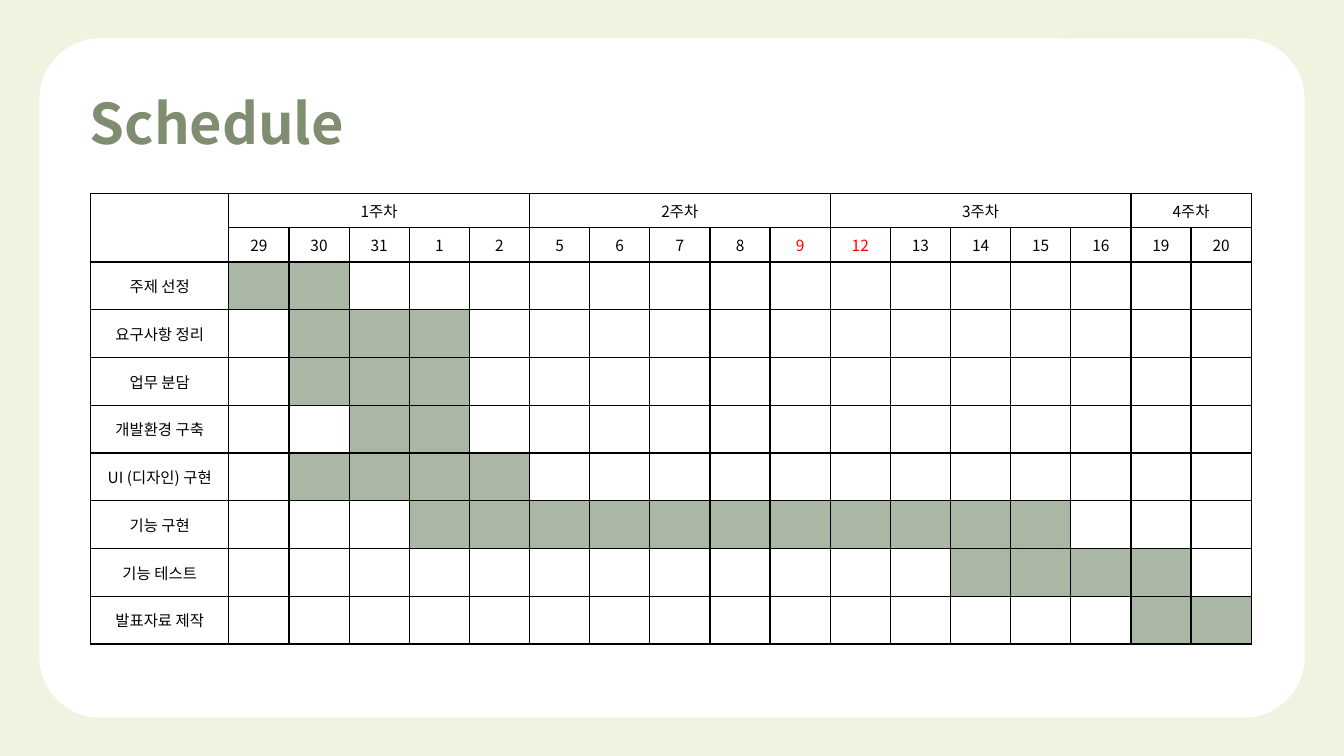
from pptx import Presentation
from pptx.dml.color import RGBColor
from pptx.enum.shapes import MSO_SHAPE as Shape
from pptx.enum.text import MSO_ANCHOR as Anchor, MSO_AUTO_SIZE as AutoSize, PP_ALIGN as Align
from pptx.oxml import parse_xml
from pptx.oxml.ns import nsdecls
from pptx.util import Inches, Pt

# Content
TITLE = "Schedule"
WEEKS = [
    ("1주차", ["29", "30", "31", "1", "2"]),
    ("2주차", ["5", "6", "7", "8", "9"]),
    ("3주차", ["12", "13", "14", "15", "16"]),
    ("4주차", ["19", "20"]),
]
HOLIDAYS = {"9", "12"}
TASKS = [  # name, first day, last day
    ("주제 선정", "29", "30"),
    ("요구사항 정리", "30", "1"),
    ("업무 분담", "30", "1"),
    ("개발환경 구축", "31", "1"),
    ("UI (디자인) 구현", "30", "2"),
    ("기능 구현", "1", "15"),
    ("기능 테스트", "14", "19"),
    ("발표자료 제작", "19", "20"),
]
DAYS = [day for _, days in WEEKS for day in days]

# Format
FONT = "Noto Sans CJK KR"
BACKGROUND, WHITE, BLACK, RED = "F1F3E1", "FFFFFF", "000000", "FF0000"
TITLE_GREEN, BAR_GREEN = "7F8D70", "ABB7A5"
TITLE_FORMAT = {"size": Pt(40), "bold": True, "name": FONT}
CELL_FORMAT = {"size": Pt(11), "bold": False, "name": FONT}

# Table measures in inches
LEFT, TOP, WIDTH, HEIGHT = 0.9, 1.92, 11.51, 4.47
NAME_WIDTH, HEADER_HEIGHT = 1.37, 0.34
DAY_WIDTH = (WIDTH - NAME_WIDTH) / len(DAYS)
TASK_HEIGHT = (HEIGHT - 2 * HEADER_HEIGHT) / len(TASKS)


def paint(fill, color):
    fill.solid()
    fill.fore_color.rgb = RGBColor.from_string(color)


def write(paragraph, text, formats, color):
    run = paragraph.add_run()
    run.text = text
    for name, value in formats.items():
        setattr(run.font, name, value)
    paint(run.font.fill, color)
    run.font._element.append(parse_xml(f'<a:ea {nsdecls("a")} typeface="{FONT}"/>'))
    # Schema order: the East Asian font follows the Latin one
    run.font._element.find("{*}latin").addnext(run.font._element.find("{*}ea"))


def write_cell(cell, text, color=BLACK):
    paragraph = cell.text_frame.paragraphs[0]
    paragraph.alignment = Align.CENTER
    write(paragraph, text, CELL_FORMAT, color)


def add_borders(cell):
    properties = cell._tc.get_or_add_tcPr()
    for index, side in enumerate(("lnL", "lnR", "lnT", "lnB")):
        properties.insert(index, parse_xml(
            f'<a:{side} {nsdecls("a")} w="12700"><a:solidFill>'
            f'<a:srgbClr val="{BLACK}"/></a:solidFill></a:{side}>'))


def add_panel(slide):
    panel = slide.shapes.add_shape(
        Shape.ROUNDED_RECTANGLE, Inches(0.39), Inches(0.38), Inches(12.55), Inches(6.74))
    panel.adjustments[0] = 0.09
    panel.shadow.inherit = False
    paint(panel.fill, WHITE)
    panel.line.fill.background()


def add_title(slide):
    box = slide.shapes.add_textbox(Inches(0.79), Inches(0.83), Inches(5.48), Inches(0.77))
    frame = box.text_frame
    frame.word_wrap = True
    frame.auto_size = AutoSize.SHAPE_TO_FIT_TEXT
    write(frame.paragraphs[0], TITLE, TITLE_FORMAT, TITLE_GREEN)


def add_schedule(slide):
    table = slide.shapes.add_table(
        2 + len(TASKS), 1 + len(DAYS),
        Inches(LEFT), Inches(TOP), Inches(WIDTH), Inches(HEIGHT)).table
    table.first_row = table.horz_banding = False
    for index, column in enumerate(table.columns):
        column.width = Inches(DAY_WIDTH if index else NAME_WIDTH)
    for index, row in enumerate(table.rows):
        row.height = Inches(HEADER_HEIGHT if index < 2 else TASK_HEIGHT)
    for cell in table.iter_cells():
        cell.fill.background()
        cell.vertical_anchor = Anchor.MIDDLE
        cell.margin_top = cell.margin_bottom = 0
        add_borders(cell)

    # Weeks and days
    table.cell(0, 0).merge(table.cell(1, 0))
    first = 1
    for week, days in WEEKS:
        table.cell(0, first).merge(table.cell(0, first + len(days) - 1))
        write_cell(table.cell(0, first), week)
        first += len(days)
    for column, day in enumerate(DAYS, 1):
        write_cell(table.cell(1, column), day, RED if day in HOLIDAYS else BLACK)

    # Tasks and their bars
    for row, (task, start, end) in enumerate(TASKS, 2):
        write_cell(table.cell(row, 0), task)
        for column in range(DAYS.index(start) + 1, DAYS.index(end) + 2):
            paint(table.cell(row, column).fill, BAR_GREEN)


def main():
    presentation = Presentation()
    presentation.slide_width = Inches(13.33)
    presentation.slide_height = Inches(7.5)
    slide = presentation.slides.add_slide(presentation.slide_layouts[6])
    paint(slide.background.fill, BACKGROUND)
    add_panel(slide)
    add_title(slide)
    add_schedule(slide)
    presentation.save("out.pptx")


if __name__ == "__main__":
    main()
